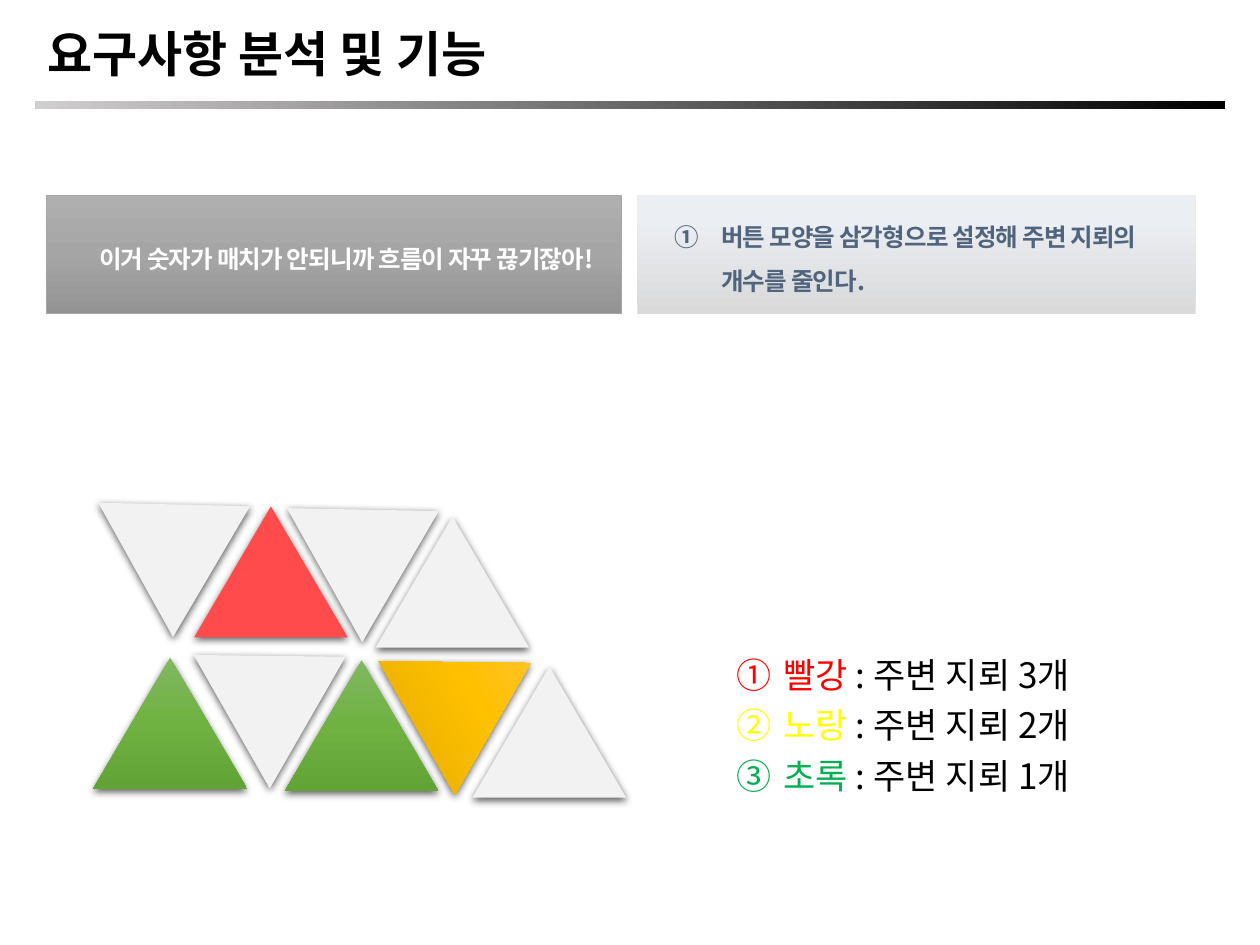
from lxml.etree import SubElement
from pptx import Presentation
from pptx.dml.color import RGBColor
from pptx.enum.shapes import MSO_SHAPE
from pptx.enum.text import MSO_ANCHOR, MSO_AUTO_SIZE, PP_ALIGN
from pptx.oxml.ns import qn
from pptx.util import Pt

FONT = "Noto Sans CJK KR"
GREY = "F2F2F2"
RED = "FF4B4B"
GREEN = [(0, "81B861"), (50, "6FB242"), (100, "62A336")]
YELLOW = [(0, "FFC64B"), (50, "FFC000"), (100, "E3AB00")]


def rgb(color):
    return RGBColor.from_string(color)


def paint(shape, fill, angle=90):
    """Fill with one colour, or with (percent, colour) stops at a clockwise angle."""
    if isinstance(fill, str):
        shape.fill.solid()
        shape.fill.fore_color.rgb = rgb(fill)
        return
    shape.fill.gradient()
    shape.fill.gradient_angle = (360 - angle) % 360
    stops = shape._element.spPr.find(".//" + qn("a:gsLst"))
    for old in list(stops):
        stops.remove(old)
    for percent, color in fill:
        stop = SubElement(stops, qn("a:gs"), pos=str(percent * 1000))
        SubElement(stop, qn("a:srgbClr"), val=color)


def add_shape(s, kind, box, fill, angle=90, line=None):
    shape = s.shapes.add_shape(kind, *map(Pt, box))
    paint(shape, fill, angle)
    if line:
        shape.line.color.rgb = rgb(line)
        shape.line.width = Pt(0.5)
    else:
        shape.line.fill.background()
    shape.shadow.inherit = False
    return shape


def add_run(p, text, size=14, color="000000", bold=False, spacing=0):
    r = p.add_run()
    r.text = text
    r.font.size = Pt(size)
    r.font.bold = bold
    r.font.color.rgb = rgb(color)
    r.font.name = FONT
    rPr = r._r.get_or_add_rPr()
    SubElement(rPr, qn("a:ea"), typeface=FONT)
    if spacing:
        rPr.set("spc", str(round(spacing * 100)))


def format_paragraph(p, line_spacing, margin=0, indent=0, numbered_from=0):
    p.line_spacing = line_spacing
    pPr = p._p.get_or_add_pPr()
    pPr.set("marL", str(Pt(margin)))
    pPr.set("indent", str(Pt(indent)))
    if numbered_from:
        SubElement(pPr, qn("a:buFont"), typeface="+mj-lt")
        SubElement(pPr, qn("a:buAutoNum"), type="circleNumDbPlain")


def add_header(s, box):
    x, y, w, h = box
    title = s.shapes.title
    title.left, title.top, title.width, title.height = map(Pt, (x, y, 396, 35))
    tf = title.text_frame
    tf.auto_size = MSO_AUTO_SIZE.NONE
    tf.vertical_anchor = MSO_ANCHOR.MIDDLE
    p = tf.paragraphs[0]
    p.alignment = PP_ALIGN.LEFT
    p.line_spacing = 0.9
    add_run(p, "요구사항 분석 및 기능", size=28, bold=True)
    # Rule below the title
    add_shape(s, MSO_SHAPE.RECTANGLE, (x, y + h - 4.5, w, 4.5),
              [(0, "D0CECE"), (100, "000000")], angle=0)


def add_panel(s, box, text, color, fill, angle, line=None, numbered=False):
    panel = add_shape(s, MSO_SHAPE.RECTANGLE, box, fill, angle, line)
    tf = panel.text_frame
    tf.word_wrap = True
    tf.vertical_anchor = MSO_ANCHOR.MIDDLE
    tf.margin_left = tf.margin_top = 0
    p = tf.paragraphs[0]
    if numbered:
        p.alignment = PP_ALIGN.LEFT
        format_paragraph(p, 1.5, margin=48, indent=-27, numbered_from=1)
    else:
        p.alignment = PP_ALIGN.CENTER
        format_paragraph(p, 1.5, margin=21)
    add_run(p, text, color=color, bold=True, spacing=-0.5)


def add_triangles(s, box):
    left, top, w, h = box
    # Offset in the box, rotation, fill
    triangles = [
        (57.6, 19.4, 0, RED), (120.9, 2.9, 60.7, GREY),
        (67.7, 86.4, 60.3, GREY), (13, 0, 60.9, GREY),
        (109.4, 107.3, 0, GREEN), (161.3, 25.2, 0, GREY),
        (173.5, 90, 60.3, YELLOW), (0, 105.8, 0, GREEN),
        (216.7, 110.9, 0, GREY),
    ]
    for dx, dy, rotation, fill in triangles:
        shape = add_shape(s, MSO_SHAPE.ISOSCELES_TRIANGLE,
                          (left + dx, top + dy, w, h), fill)
        shape.rotation = rotation
        # Soft shadow straight below
        effects = shape._element.spPr.find(qn("a:effectLst"))
        shadow = SubElement(effects, qn("a:outerShdw"), blurRad=str(Pt(4.5)),
                            dist=str(Pt(1.5)), dir="5400000", algn="ctr",
                            rotWithShape="0")
        color = SubElement(shadow, qn("a:srgbClr"), val="000000")
        SubElement(color, qn("a:alpha"), val="63000")


def add_legend(s, box):
    tf = s.shapes.add_textbox(*map(Pt, box)).text_frame
    tf.word_wrap = True
    entries = [("빨강", "FF0000", 3), ("노랑", "FFFF00", 2), ("초록", "00B050", 1)]
    for i, (name, color, count) in enumerate(entries):
        p = tf.add_paragraph() if i else tf.paragraphs[0]
        p.level = 1
        format_paragraph(p, 1.2, margin=63.36, indent=-27, numbered_from=1)
        add_run(p, f"{name} ", size=20, color=color)
        add_run(p, f": 주변 지뢰 {count}개", size=20)


def main():
    prs = Presentation()
    prs.slide_width, prs.slide_height = Pt(720), Pt(540)
    s = prs.slides.add_slide(prs.slide_layouts[5])
    add_header(s, (20, 15.1, 680, 47.2))
    # Problem and solution
    add_panel(s, (26.7, 111.6, 328.3, 67.7),
              "이거 숫자가 매치가 안되니까 흐름이 자꾸 끊기잖아!", "FFFFFF",
              [(0, "AFAFAF"), (50, "A5A5A5"), (100, "939393")], 90, line="A5A5A5")
    add_panel(s, (364.2, 111.6, 319, 67.7),
              "버튼 모양을 삼각형으로 설정해 주변 지뢰의 개수를 줄인다.", "51647E",
              [(0, "D9D9D9"), (80, "EBEEF2")], 270, numbered=True)
    # Button layout and colour key
    add_legend(s, (377.3, 365, 293.8, 93.6))
    add_triangles(s, (53.3, 270, 87.84, 74.88))
    prs.save("out.pptx")


if __name__ == "__main__":
    main()
